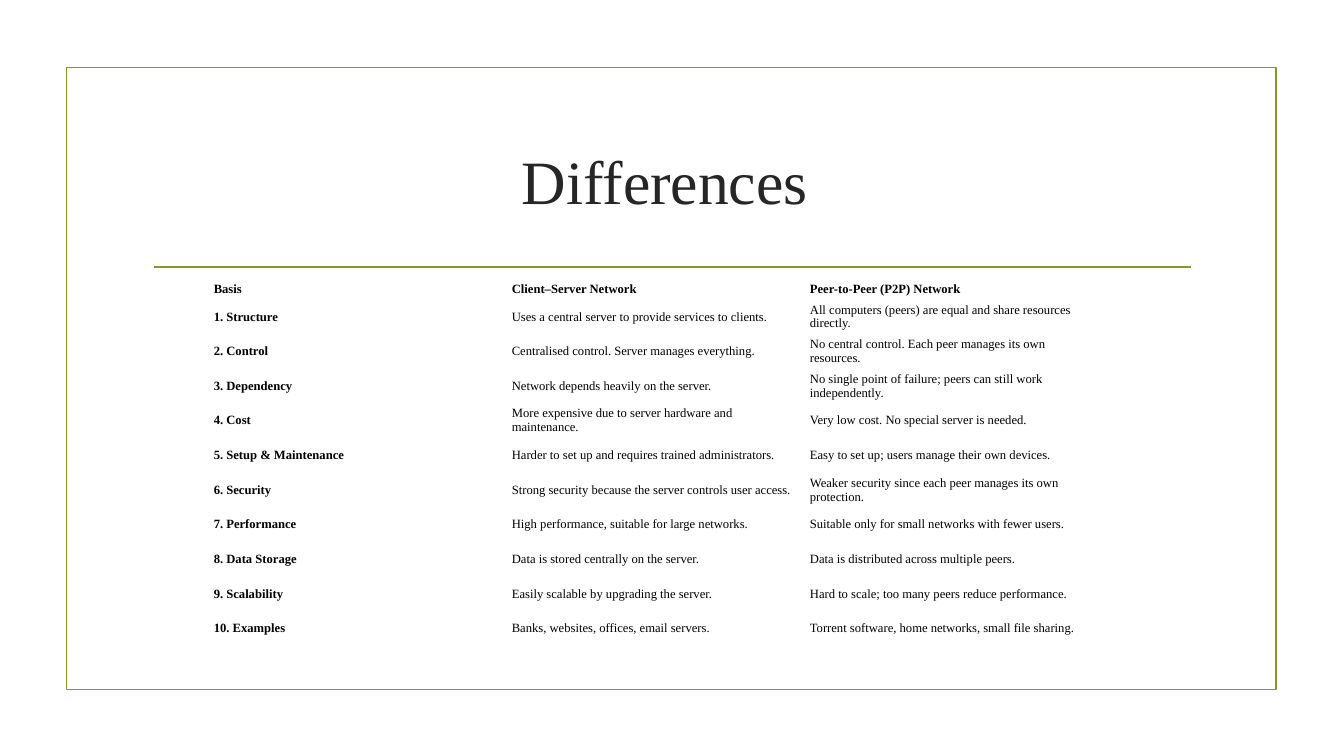
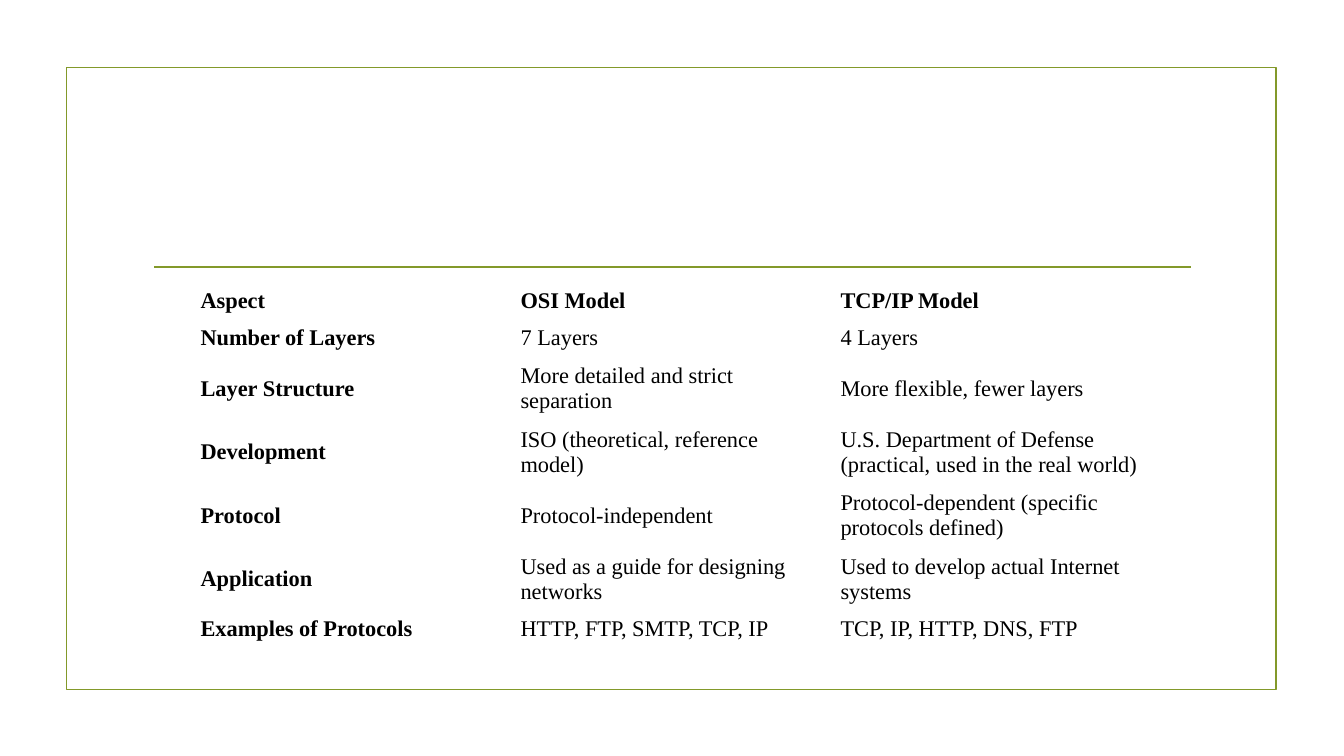
"""Build two comparison-table slides inside a shared green frame."""
from dataclasses import dataclass

from lxml import etree
from pptx import Presentation
from pptx.dml.color import RGBColor
from pptx.enum.shapes import MSO_CONNECTOR, MSO_SHAPE
from pptx.enum.text import MSO_ANCHOR, PP_ALIGN
from pptx.oxml.ns import qn
from pptx.util import Inches, Pt

MIDDLE = MSO_ANCHOR.MIDDLE
CENTER = PP_ALIGN.CENTER
RECTANGLE = MSO_SHAPE.RECTANGLE
STRAIGHT = MSO_CONNECTOR.STRAIGHT
TITLE_ONLY, BLANK = 5, 6


@dataclass(frozen=True)
class Theme:
    font: str = "Times New Roman"
    accent: RGBColor = RGBColor(0x83, 0x99, 0x2A)
    title: RGBColor = RGBColor(0x26, 0x26, 0x26)
    text: RGBColor = RGBColor(0, 0, 0)
    title_size: int = 44
    line_width: float = 1.25


THEME = Theme()

NETWORK_ROWS = [
    ("Basis", "Client–Server Network", "Peer-to-Peer (P2P) Network"),
    ("1. Structure", "Uses a central server to provide services to clients.",
     "All computers (peers) are equal and share resources directly."),
    ("2. Control", "Centralised control. Server manages everything.",
     "No central control. Each peer manages its own resources."),
    ("3. Dependency", "Network depends heavily on the server.",
     "No single point of failure; peers can still work independently."),
    ("4. Cost", "More expensive due to server hardware and maintenance.",
     "Very low cost. No special server is needed."),
    ("5. Setup & Maintenance", "Harder to set up and requires trained administrators.",
     "Easy to set up; users manage their own devices."),
    ("6. Security", "Strong security because the server controls user access.",
     "Weaker security since each peer manages its own protection."),
    ("7. Performance", "High performance, suitable for large networks.",
     "Suitable only for small networks with fewer users."),
    ("8. Data Storage", "Data is stored centrally on the server.",
     "Data is distributed across multiple peers."),
    ("9. Scalability", "Easily scalable by upgrading the server.",
     "Hard to scale; too many peers reduce performance."),
    ("10. Examples", "Banks, websites, offices, email servers.",
     "Torrent software, home networks, small file sharing."),
]

MODEL_ROWS = [
    ("Aspect", "OSI Model", "TCP/IP Model"),
    ("Number of Layers", "7 Layers", "4 Layers"),
    ("Layer Structure", "More detailed and strict separation",
     "More flexible, fewer layers"),
    ("Development", "ISO (theoretical, reference model)",
     "U.S. Department of Defense (practical, used in the real world)"),
    ("Protocol", "Protocol-independent",
     "Protocol-dependent (specific protocols defined)"),
    ("Application", "Used as a guide for designing networks",
     "Used to develop actual Internet systems"),
    ("Examples of Protocols", "HTTP, FTP, SMTP, TCP, IP", "TCP, IP, HTTP, DNS, FTP"),
]

ONE_LINE, TWO_LINES = 0.37, 0.63

SLIDES = [
    {"title": "Differences ", "rows": NETWORK_ROWS, "at": (2.07, 2.77, 8.87),
     "heights": [0.2] + [0.344] * 10, "size": 9, "margins": (0.05, 0.02)},
    {"title": None, "rows": MODEL_ROWS, "at": (1.9, 2.8, 9.52),
     "heights": [ONE_LINE] * 2 + [TWO_LINES] * 4 + [ONE_LINE],
     "size": 16, "margins": (0.09, 0.05)},
]


def style_font(font, size, color, bold=False):
    font.name = THEME.font
    font.size = Pt(size)
    font.color.rgb = color
    font.bold = bold


def style_line(line):
    line.color.rgb = THEME.accent
    line.width = Pt(THEME.line_width)


def add_frame(s):
    frame = s.shapes.add_shape(
        RECTANGLE, Inches(0.66), Inches(0.67), Inches(12), Inches(6.17))
    frame.shadow.inherit = False
    frame.fill.background()
    style_line(frame.line)
    rule = s.shapes.add_connector(
        STRAIGHT, Inches(1.53), Inches(2.65), Inches(11.81), Inches(2.65))
    style_line(rule.line)
    etree.SubElement(rule._element.spPr, qn("a:effectLst"))


def set_title(s, text):
    sp = s.shapes.title
    sp.left, sp.top = Inches(1.42), Inches(1.07)
    sp.width, sp.height = Inches(10.5), Inches(1.43)
    tf = sp.text_frame
    tf.text = text
    tf.vertical_anchor = MIDDLE
    p = tf.paragraphs[0]
    p.alignment = CENTER
    style_font(p.runs[0].font, THEME.title_size, THEME.title)


def fill_cell(cell, text, size, margins, bold):
    cell.fill.background()
    cell.vertical_anchor = MIDDLE
    cell.margin_left = cell.margin_right = Inches(margins[0])
    cell.margin_top = cell.margin_bottom = Inches(margins[1])
    cell.text = text
    style_font(cell.text_frame.paragraphs[0].runs[0].font, size, THEME.text, bold)


def add_comparison(s, rows, at, heights, size, margins):
    left, top, width = at
    columns = len(rows[0])
    table = s.shapes.add_table(
        len(rows), columns, Inches(left), Inches(top),
        Inches(width), Inches(sum(heights))).table
    table.first_row = table.horz_banding = False
    for column in table.columns:
        column.width = Inches(width / columns)
    for i, (texts, height) in enumerate(zip(rows, heights)):
        table.rows[i].height = Inches(height)
        for j, text in enumerate(texts):
            fill_cell(table.cell(i, j), text, size, margins, i == 0 or j == 0)


def main():
    prs = Presentation()
    prs.slide_width, prs.slide_height = Inches(13.33), Inches(7.5)
    for content in SLIDES:
        title = content["title"]
        s = prs.slides.add_slide(prs.slide_layouts[TITLE_ONLY if title else BLANK])
        add_frame(s)
        if title:
            set_title(s, title)
        add_comparison(s, content["rows"], content["at"], content["heights"],
                       content["size"], content["margins"])
    prs.save("out.pptx")


if __name__ == "__main__":
    main()
